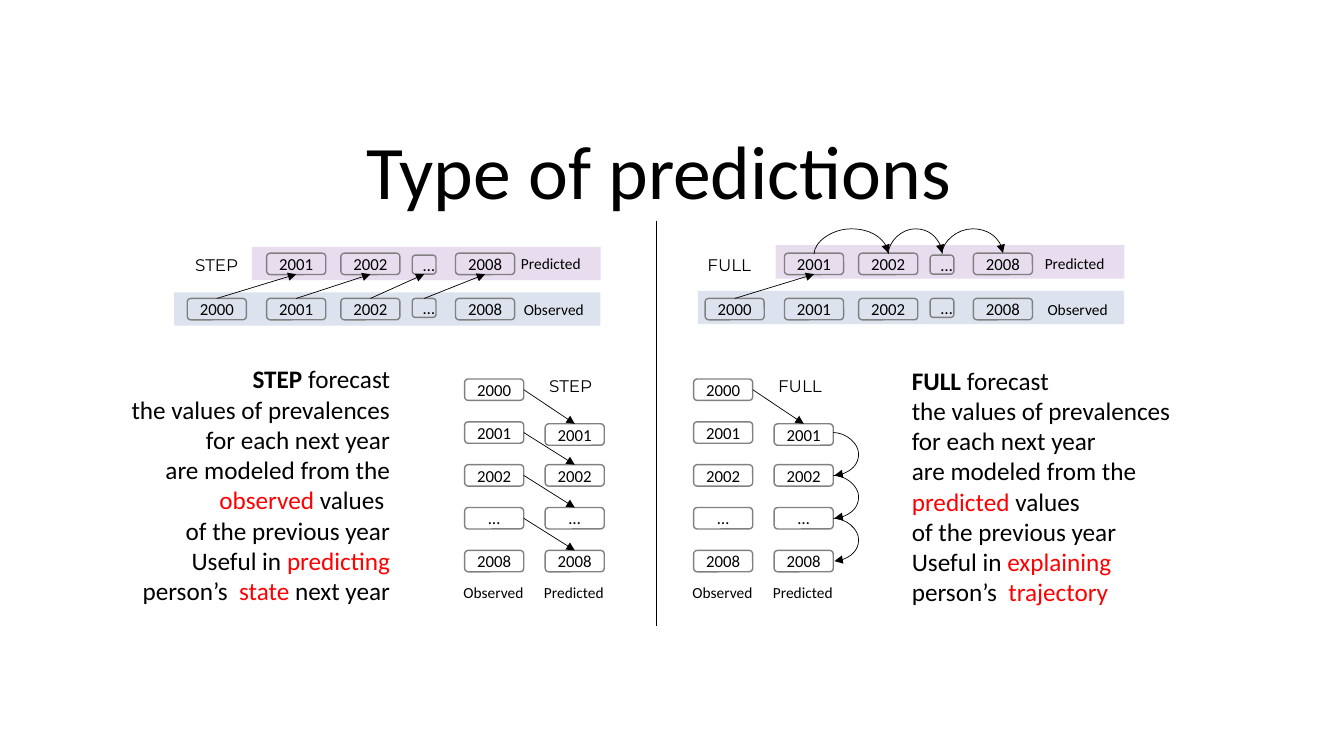
"""Build a slide that compares STEP and FULL predictions."""
import dataclasses

import pptx
import pptx.dml.color
import pptx.enum.shapes
import pptx.enum.text
import pptx.oxml.ns
import pptx.oxml.xmlchemy
import pptx.util
from lxml import etree

Cm = pptx.util.Cm
Pt = pptx.util.Pt
RGB = pptx.dml.color.RGBColor.from_string
Kind = pptx.enum.shapes.MSO_SHAPE
Link = pptx.enum.shapes.MSO_CONNECTOR
Align = pptx.enum.text.PP_ALIGN
qn = pptx.oxml.ns.qn


@dataclasses.dataclass
class Theme:
    ink: str = "000000"
    edge: str = "808080"
    mark: str = "FF0000"
    violet: str = "7030A0"
    blue: str = "2F5597"
    font: str = "Calibri"
    tag: str = "Montserrat"
    title: int = 54
    body: int = 18
    year: int = 12
    label: int = 11


theme = Theme()
deck = pptx.Presentation()
deck.slide_width = Cm(33.87)
deck.slide_height = Cm(19.05)
slide = deck.slides.add_slide(deck.slide_layouts[6])
shapes = slide.shapes


def put(x, y, w, h, text, size, font=theme.font, frame=False, wrap=True):
    """Add a framed year or a plain text box."""
    area = Cm(x), Cm(y), Cm(w), Cm(h)
    if frame:
        item = shapes.add_shape(Kind.ROUNDED_RECTANGLE, *area)
        item.shadow.inherit = False
        item.fill.background()
        item.line.color.rgb = RGB(theme.edge)
        item.line.width = Pt(1)
    else:
        item = shapes.add_textbox(*area)
    body = item.text_frame
    body.word_wrap = wrap
    body.text = text
    line = body.paragraphs[0]
    if frame:
        body.vertical_anchor = pptx.enum.text.MSO_ANCHOR.MIDDLE
        line.alignment = Align.CENTER
    for run in line.runs:
        run.font.size = Pt(size)
        run.font.name = font
        run.font.color.rgb = RGB(theme.ink)
    return body


def join(x, y, u, v, bend=0, turn=0, head=True):
    """Add a line, or a curve that bends sideways and may be turned."""
    kind = Link.CURVE if bend else Link.STRAIGHT
    item = shapes.add_connector(kind, Cm(x), Cm(y), Cm(u), Cm(v))
    item.line.color.rgb = RGB(theme.ink)
    item.line.width = Pt(0.5)
    part = item._element.spPr
    if bend:
        guides = part.find(qn("a:prstGeom")).get_or_add_avLst()
        ratio = round(bend / (u - x) * 100000)
        etree.SubElement(guides, qn("a:gd"), name="adj1", fmla=f"val {ratio}")
        part.find(qn("a:xfrm")).set("rot", str(turn * 60000))
    if head:
        etree.SubElement(part.find(qn("a:ln")), qn("a:tailEnd"), type="triangle")
    etree.SubElement(part, qn("a:effectLst"))


years = ["2000", "2001", "2002", "…", "2008"]
cols = [4.72, 6.72, 8.59, 10.39, 11.48]
wide, high, thin, bulge = 1.49, 0.54, 0.03, 0.64
panels = [
    ("STEP", 0, 0, 0, 0, 0),
    ("FULL", 13.05, 13.2, -0.04, 12.91, 5.77),
]

for name, move, slip, lift, near, skip in panels:
    bars = [
        (6.35, 6.22, 8.79, theme.violet),
        (4.39, 7.37, 10.74, theme.blue),
    ]
    for x, y, w, tint in bars:
        bar = shapes.add_shape(
            Kind.RECTANGLE, Cm(x + slip), Cm(y + lift), Cm(w), Cm(0.84))
        bar.shadow.inherit = False
        bar.line.fill.background()
        bar.fill.solid()
        bar.fill.fore_color.rgb = RGB(tint)
        paint = bar._element.spPr.find(qn("a:solidFill"))[0]
        etree.SubElement(paint, qn("a:alpha"), val="16000")

    mids = []
    for year, col in zip(years, cols):
        dots = year == "…"
        w, h = (0.6, 0.48) if dots else (wide, high)
        x = col + move
        mids.append(x + w / 2)
        put(x, 7.52, w, h, year, theme.year, frame=True)
        if year != "2000":
            put(x, 6.43 if dots else 6.38, w, h, year, theme.year, frame=True)

    for i, (a, b) in enumerate(zip(mids, mids[1:])):
        if name == "STEP" or i == 0:
            join(a, 7.52, b, 6.91)
        else:
            mid, half = (a + b) / 2, (b - a) / 2
            join(mid - thin / 2, 6.39 - half, mid + thin / 2, 6.39 + half,
                 bulge, 270)

    put(12.88 + slip, 6.28, 2.03, 0.74, "Predicted", theme.label, wrap=False)
    put(12.95 + slip, 7.43, 2.03, 0.74, "Observed", theme.label, wrap=False)
    put(4.67 + near, 6.29, 1.8, 0.77, name, theme.year, theme.tag)

    left, right = 11.71 + skip, 13.74 + skip
    rows = [9.55 + 1.08 * i for i in range(len(years))]
    for i, (year, y) in enumerate(zip(years, rows)):
        put(left, y, wide, high, year, theme.year, frame=True)
        if i == 0:
            continue
        top = y + 0.05 if i == 1 else y
        put(right, top, wide, high, year, theme.year, frame=True)
        if name == "STEP" or i == 1:
            join(left + wide, rows[i - 1] + high / 2, right + wide / 2, top)
        else:
            edge = right + wide
            join(edge, rows[i - 1] + high / 2, edge + thin, y + high / 2, bulge)
    put(13.46 + skip, 14.56, 2.03, 0.74, "Predicted", theme.label, wrap=False)
    put(11.43 + skip, 14.57, 2.03, 0.74, "Observed", theme.label, wrap=False)
    put(13.59 + skip, 9.35, 1.8, 0.77, name, theme.year, theme.tag)

title = put(8.81, 3, 15.42, 2.57, "Type of predictions", theme.title, wrap=False)
title.paragraphs[0].alignment = Align.RIGHT

shared = ["the values of prevalences for each next year"]
notes = [
    (2.54, 9.04, Align.RIGHT, [
        ["*STEP", " forecast"], shared,
        ["are modeled from the ", "!observed ", "values "],
        ["of the previous year"],
        ["Useful in ", "!predicting", " person’s  ", "!state", " next year"]]),
    (22.73, 9.07, Align.LEFT, [
        ["*FULL ", "forecast"], shared,
        ["are modeled from the ", "!predicted ", "values"],
        ["of the previous year"],
        ["Useful in ", "!explaining", " person’s  ", "!trajectory"]]),
]
for x, y, side, lines in notes:
    body = put(x, y, 7.54, 6.4, "", theme.body)
    for i, parts in enumerate(lines):
        line = body.add_paragraph() if i else body.paragraphs[0]
        line.alignment = side
        for part in parts:
            run = line.add_run()
            run.text = part.lstrip("*!")
            run.font.size = Pt(theme.body)
            run.font.name = theme.font
            run.font.bold = part.startswith("*")
            red = part.startswith("!")
            run.font.color.rgb = RGB(theme.mark if red else theme.ink)

join(16.54, 5.56, 16.54, 15.77, head=False)
deck.save("out.pptx")
